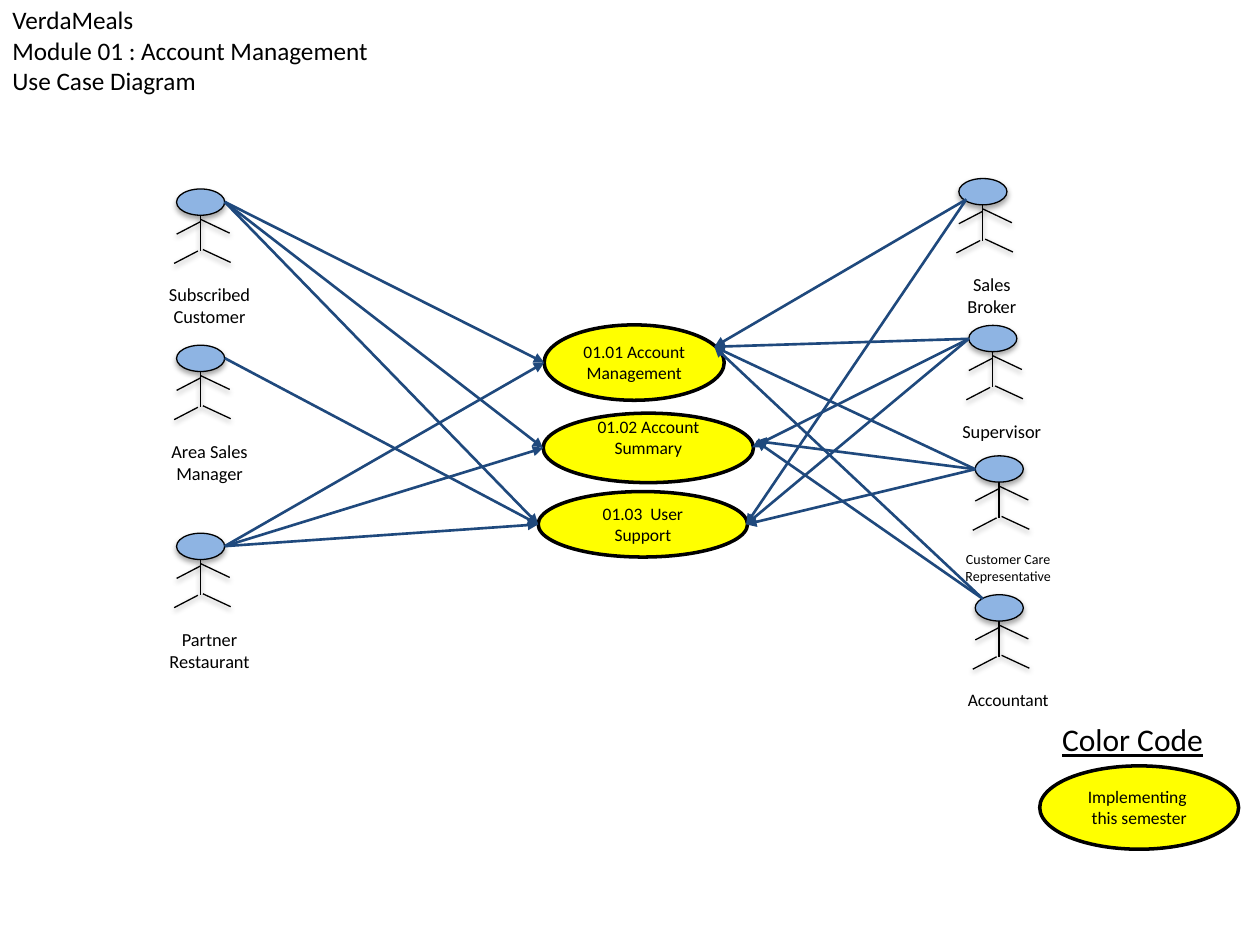
from dataclasses import dataclass

import pptx
import pptx.dml.color
import pptx.enum.shapes
import pptx.enum.text
import pptx.oxml
import pptx.oxml.ns
import pptx.util

Cm = pptx.util.Cm
Pt = pptx.util.Pt
ALIGN = pptx.enum.text.PP_ALIGN
ANCHOR = pptx.enum.text.MSO_ANCHOR
AUTOSIZE = pptx.enum.text.MSO_AUTO_SIZE
OVAL = pptx.enum.shapes.MSO_SHAPE.OVAL
STRAIGHT = pptx.enum.shapes.MSO_CONNECTOR.STRAIGHT


@dataclass(frozen=True)
class Theme:
    font: str = "Calibri"
    ink: str = "000000"
    use_case: str = "FFFF00"
    head: str = "8EB4E3"
    link: str = "1F497D"
    title_size: float = 14.4
    legend_size: float = 18
    case_size: float = 10
    actor_size: float = 10.5
    small_size: float = 8
    outline: float = 2
    limb: float = 0.75
    arrow: float = 1.5


def color(value):
    return pptx.dml.color.RGBColor.from_string(value)


def apply(target, values):
    for name, value in values.items():
        setattr(target, name, value)


class Diagram:
    HEAD = (0.97, 0.53)
    LIMBS = [
        ((0.48, 0.53), (0.48, 1.25)),
        ((0.48, 0.66), (0, 0.91)),
        ((0.43, 1.25), (-0.05, 1.5)),
        ((0.48, 0.61), (1.07, 0.89)),
        ((0.53, 1.22), (1.09, 1.48)),
    ]

    def __init__(self, slide, theme):
        self.slide = slide
        self.theme = theme

    def label(self, shape, text, size, align, underline=None, **frame_values):
        frame = shape.text_frame
        apply(frame, {"word_wrap": True, **frame_values})
        paragraph = frame.paragraphs[0]
        paragraph.text = text
        paragraph.alignment = align
        for run in paragraph.runs:
            apply(run.font, {"name": self.theme.font, "size": Pt(size), "underline": underline})
            run.font.color.rgb = color(self.theme.ink)

    def effects(self, shape, alpha=None, distance=1.6):
        shadow = "" if alpha is None else (
            f'<a:outerShdw blurRad="{Pt(3.1)}" dist="{Pt(distance)}" dir="5400000" rotWithShape="0">'
            f'<a:srgbClr val="{self.theme.ink}"><a:alpha val="{alpha * 1000}"/></a:srgbClr></a:outerShdw>'
        )
        namespace = pptx.oxml.ns.nsdecls("a")
        shape._element.spPr.append(
            pptx.oxml.parse_xml(f"<a:effectLst {namespace}>{shadow}</a:effectLst>"))

    def stroke(self, shape, shade, width):
        shape.line.color.rgb = color(shade)
        shape.line.width = Pt(width)

    def text(self, box, text, size, align=ALIGN.LEFT, parent=None, **values):
        shape = (parent or self.slide).shapes.add_textbox(*map(Cm, box))
        self.label(shape, text, size, align, **values)

    def oval(self, shapes, box, fill, width):
        shape = shapes.add_shape(OVAL, *map(Cm, box))
        shape.fill.solid()
        shape.fill.fore_color.rgb = color(fill)
        self.stroke(shape, self.theme.ink, width)
        return shape

    def use_case(self, box, text, lift=0):
        shape = self.oval(self.slide.shapes, box, self.theme.use_case, self.theme.outline)
        shape.shadow.inherit = False
        self.label(shape, text, self.theme.case_size, ALIGN.CENTER,
                   vertical_anchor=ANCHOR.MIDDLE, margin_bottom=Cm(0.13 + lift))

    def line(self, shapes, start, end, shade, width):
        connector = shapes.add_connector(STRAIGHT, *map(Cm, (*start, *end)))
        self.stroke(connector, shade, width)
        return connector

    def actor(self, left, top, name, label_height, size):
        group = self.slide.shapes.add_group_shape()
        head = self.oval(group.shapes, (left, top, *self.HEAD), self.theme.head, self.theme.limb)
        self.effects(head, 35, 1.8)
        for (x1, y1), (x2, y2) in self.LIMBS:
            limb = self.line(group.shapes, (left + x1, top + y1), (left + x2, top + y2),
                             self.theme.ink, self.theme.limb)
            self.effects(limb, 38)
        self.text((left - 0.48, top + 1.78, 2.29, label_height), name, size, ALIGN.CENTER,
                  parent=group, auto_size=AUTOSIZE.SHAPE_TO_FIT_TEXT)

    def arrow(self, start, end):
        link = self.line(self.slide.shapes, start, end, self.theme.link, self.theme.arrow)
        namespace = pptx.oxml.ns.nsdecls("a")
        link.line._get_or_add_ln().append(
            pptx.oxml.parse_xml(f'<a:tailEnd {namespace} type="triangle"/>'))
        self.effects(link)


theme = Theme()
presentation = pptx.Presentation()
apply(presentation, {"slide_width": Cm(25.4), "slide_height": Cm(19.05)})
diagram = Diagram(presentation.slides.add_slide(presentation.slide_layouts[6]), theme)

diagram.text((0, 0.25, 8.46, 1.52),
             "VerdaMeals\nModule 01 : Account Management\nUse Case Diagram",
             theme.title_size, vertical_anchor=ANCHOR.MIDDLE)

use_cases = [
    ((10.97, 6.55, 3.63, 1.52), "01.01 Account Management", 0),
    ((10.95, 8.33, 4.24, 1.4), "01.02 Account Summary", 0.42),
    ((10.85, 9.91, 4.22, 1.32), "01.03  User Support", 0),
    ((20.96, 15.44, 4.01, 1.68), "Implementing  this semester", 0),
]
for use_case in use_cases:
    diagram.use_case(*use_case)

diagram.text((21.16, 14.4, 3.38, 1.02), "Color Code", theme.legend_size, underline=True,
             word_wrap=False, auto_size=AUTOSIZE.SHAPE_TO_FIT_TEXT)

management_left, summary_left, support_left = (
    (left, top + height / 2) for (left, top, width, height), *_ in use_cases[:3])
management_right = (14.4, 6.99)
summary_right = (15.16, 9.02)
summary_upper = (15.24, 8.89)
support_right = (15.04, 10.57)

right_side = (0.97, 0.26)
left_side = (0, 0.27)
lower_left = (0.15, 0.42)
upper_left = (0.15, 0.08)

actors = [
    (3.56, 3.81, "Subscribed Customer", 1.14, theme.actor_size, right_side,
     [management_left, summary_left, support_left]),
    (3.56, 10.75, "Partner Restaurant", 1.14, theme.actor_size, right_side,
     [management_left, summary_left, support_left]),
    (3.56, 6.96, "Area Sales Manager", 1.14, theme.actor_size, right_side, [support_left]),
    (19.33, 3.6, "Sales Broker", 1.14, theme.actor_size, lower_left,
     [management_right, support_right]),
    (19.53, 6.56, "Supervisor", 0.71, theme.actor_size, left_side,
     [management_right, summary_right, support_right]),
    (19.66, 9.19, "Customer Care Representative", 0.94, theme.small_size, left_side,
     [management_right, summary_upper, support_right]),
    (19.66, 11.99, "Accountant", 0.69, theme.case_size, upper_left,
     [management_right, summary_upper]),
]
for left, top, name, label_height, size, (dx, dy), targets in actors:
    diagram.actor(left, top, name, label_height, size)
    for target in targets:
        diagram.arrow((left + dx, top + dy), target)

presentation.save("out.pptx")
